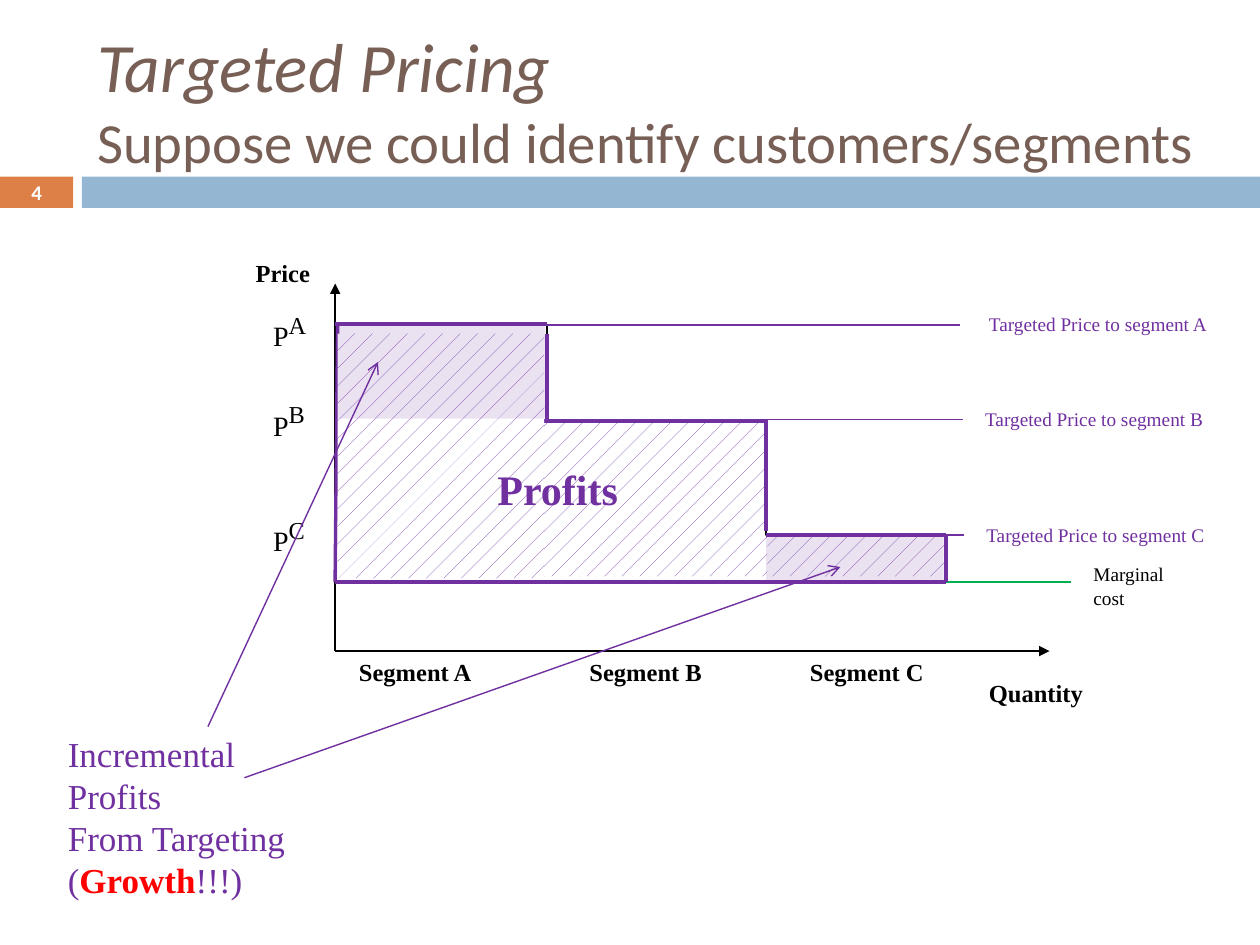
import pptx
import pptx.util
import pptx.dml.color
import pptx.enum.dml
import pptx.enum.shapes
import pptx.enum.text
import lxml.etree

C = {"purple": "7030A0", "black": "000000", "white": "FFFFFF", "red": "FF0000",
     "green": "00B050", "brown": "775F55", "orange": "DD8047", "blue": "94B6D2"}
RGB = pptx.dml.color.RGBColor.from_string
A = "{http://schemas.openxmlformats.org/drawingml/2006/main}"
SERIF, SANS = "Times New Roman", "Calibri"
THIN, AXIS, THICK = 0.79, 1, 2

prs = pptx.Presentation()
prs.slide_width, prs.slide_height = pptx.util.Inches(10), pptx.util.Inches(7.5)
# One column and one row are each a hundredth of the slide
COL, ROW = prs.slide_width // 100, prs.slide_height // 100
s = prs.slides.add_slide(prs.slide_layouts[5])

# Chart grid: segment edges in columns, price levels in rows
X0, XA, XB, XC = 26.6, 43.4, 60.8, 75.1
PA, PB, PC, COST, BASE = 34.4, 44.4, 56.6, 61.6, 68.9


def add_line(x1, y1, x2, y2, color, width, arrow=None):
    ln = s.shapes.add_connector(pptx.enum.shapes.MSO_CONNECTOR.STRAIGHT,
                                int(x1 * COL), int(y1 * ROW), int(x2 * COL), int(y2 * ROW))
    ln.line.color.rgb = RGB(C[color])
    ln.line.width = pptx.util.Pt(width)
    if arrow:
        lxml.etree.SubElement(ln.line._get_or_add_ln(), A + "tailEnd", type=arrow)
    lxml.etree.SubElement(ln._element.spPr, A + "effectLst")


def add_rect(x, y, w, h, color, style="solid"):
    sp = s.shapes.add_shape(pptx.enum.shapes.MSO_SHAPE.RECTANGLE,
                            int(x * COL), int(y * ROW), int(w * COL), int(h * ROW))
    sp.shadow.inherit = False
    sp.line.fill.background()
    if style == "hatch":
        sp.fill.patterned()
        sp.fill.pattern = pptx.enum.dml.MSO_PATTERN.PERCENT_5
        sp.fill.fore_color.rgb = RGB(C[color])
        sp.fill.back_color.rgb = RGB(C["white"])
    else:
        sp.fill.solid()
        sp.fill.fore_color.rgb = RGB(C[color])
        if style == "tint":
            rgb = sp._element.spPr.find(f"{A}solidFill/{A}srgbClr")
            lxml.etree.SubElement(rgb, A + "alpha", val="14000")
    return sp


# Title
title = s.shapes.title
title.left, title.top = int(6.7 * COL), int(3.3 * ROW)
title.width, title.height = int(89.2 * COL), int(14.4 * ROW)
tf = title.text_frame
tf.word_wrap = True
tf.vertical_anchor = pptx.enum.text.MSO_ANCHOR.MIDDLE
p = tf.paragraphs[0]
p.alignment = pptx.enum.text.PP_ALIGN.LEFT
for i, (words, size) in enumerate([("Targeted Pricing", 39.6),
                                   ("Suppose we could identify customers/segments", 32.4)]):
    if i:
        p.add_line_break()
    r = p.add_run()
    r.text = words
    r.font.name, r.font.size, r.font.italic = SANS, pptx.util.Pt(size), i == 0
    r.font.color.rgb = RGB(C["brown"])

# Header band with page number
add_rect(6.5, 18.7, 93.5, 3.3, "blue")
sp = add_rect(0, 18.7, 5.8, 3.3, "orange")
sp.text_frame.vertical_anchor = pptx.enum.text.MSO_ANCHOR.MIDDLE
p = sp.text_frame.paragraphs[0]
p.alignment = pptx.enum.text.PP_ALIGN.CENTER
r = p.add_run()
r.text = "4"
r.font.name, r.font.size, r.font.bold = SANS, pptx.util.Pt(11.9), True
r.font.color.rgb = RGB(C["white"])

# Price line of segment C, then the hatched profit of segments B and C
add_line(27, PC, 76.5, PC, "purple", THIN)
add_rect(27, PC, 48, 4.4, "purple", "hatch")
add_rect(27, PB, 33.9, 16.6, "purple", "hatch")

# Demand steps
steps = [(X0, PA), (XA, PA), (XA, PB), (XB, PB), (XB, PC), (XC, PC)]
points = [(int(x * COL), int(y * ROW)) for x, y in steps]
fb = s.shapes.build_freeform(*points[0])
fb.add_line_segments(points[1:], close=False)
sp = fb.convert_to_shape()
sp.shadow.inherit = False
sp.fill.background()
sp.line.color.rgb = RGB(C["black"])
sp.line.width = pptx.util.Pt(AXIS)

# Axes, price lines and marginal cost
add_line(X0, BASE, 83.3, BASE, "black", AXIS, "triangle")
add_line(X0, BASE, X0, 30, "black", AXIS, "triangle")
add_line(X0, PA, 76.2, PA, "purple", THIN)
add_line(X0, PB, 76.4, PB, "purple", THIN)
add_line(X0, COST, 85, COST, "green", THIN)

# Profit outline
for x1, y1, x2, y2 in [(26.8, PA, X0, COST), (X0, 34.3, XA, 34.3), (XA, 35.3, XA, PB),
                       (XC, PC, XC, COST), (X0, COST, XC, COST), (43.2, 44.6, XB, 44.6),
                       (XB, PB, XB, 56.2), (XB, PC, XC, PC)]:
    add_line(x1, y1, x2, y2, "purple", THICK)

# Hatched profit of segment A and the two tinted gains
add_rect(26.8, 35.3, 16.4, 25.9, "purple", "hatch")
add_rect(X0, PA, 16.7, 9.9, "purple", "tint")
add_rect(XB, 56.8, 14.1, 4.9, "purple", "tint")

# Labels: box, wrap, paragraphs of runs (text, size, colour, bold, superscript)
labels = [
    (77.5, 71.1, 9.6, 4.4, False, [[("Quantity", 14, "black", True, False)]]),
    (19.3, 26.7, 6.5, 4.4, False, [[("Price", 14, "black", True, False)]]),
    (38.5, 48.4, 11.7, 6.7, False, [[("Profits", 24, "purple", True, False)]]),
    (85.8, 58.9, 7.7, 6.3, False, [[(t, 11, "black", False, False)]
                                   for t in ("Marginal", "cost")]),
    (4.4, 76.9, 19.4, 19.3, True,
     [[(t, 20, "purple", False, False)] for t in ("Incremental", "Profits", "From Targeting")]
     + [[("(", 20, "purple", False, False), ("Growth", 20, "red", True, False),
         ("!!!)", 20, "purple", False, False)]]),
]
for name, x_seg, y_price, x_target, y_target in [("A", 27.5, 31.6, 77.5, 32.4),
                                                 ("B", 45.8, 41.1, 77.2, 42.4),
                                                 ("C", 63.3, 53.3, 77.3, 54.7)]:
    labels += [
        (x_seg, BASE, 11.2, 4.4, False, [[("Segment " + name, 14, "black", True, False)]]),
        (20.7, y_price, 6, 6.7, True, [[("P", 16, "black", False, False),
                                        (name, 24, "black", False, True)]]),
        (x_target, y_target, 19.6, 3.9, False,
         [[("Targeted Price to segment " + name, 11, "purple", False, False)]]),
    ]
for x, y, w, h, wrap, paragraphs in labels:
    tb = s.shapes.add_textbox(int(x * COL), int(y * ROW), int(w * COL), int(h * ROW))
    tf = tb.text_frame
    tf.word_wrap = wrap
    tf.auto_size = pptx.enum.text.MSO_AUTO_SIZE.SHAPE_TO_FIT_TEXT
    for i, runs in enumerate(paragraphs):
        p = tf.add_paragraph() if i else tf.paragraphs[0]
        for words, size, color, bold, raised in runs:
            r = p.add_run()
            r.text = words
            r.font.name, r.font.size, r.font.bold = SERIF, pptx.util.Pt(size), bold
            r.font.color.rgb = RGB(C[color])
            if raised:
                r.font._element.set("baseline", "30000")

# Arrows from the growth note to the gains
add_line(16.5, 76.9, 30, 38.3, "purple", THIN, "arrow")
add_line(19.4, 82.3, 66.7, 60, "purple", THIN, "arrow")

prs.save("out.pptx")
